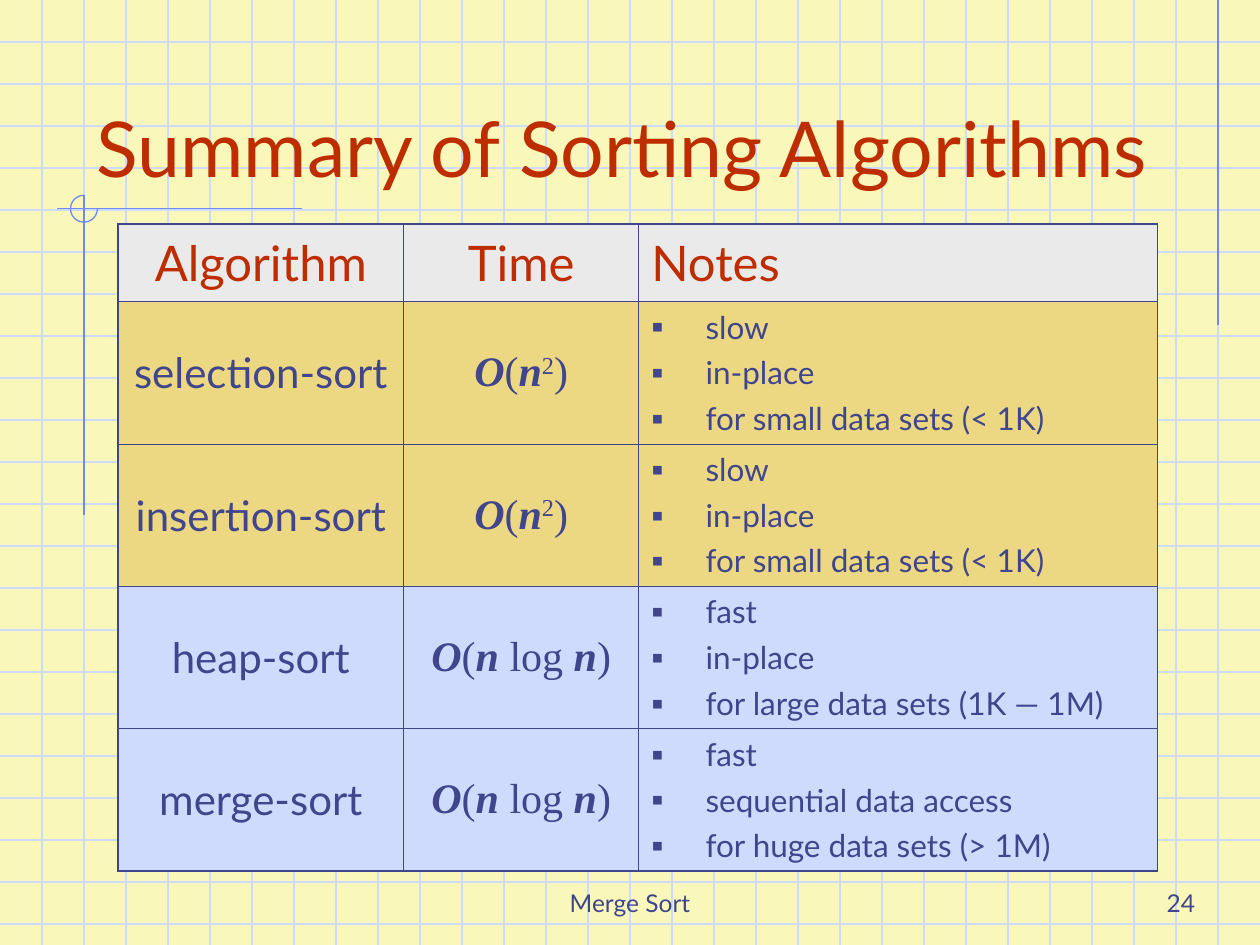
from pptx import Presentation
from pptx.dml.color import RGBColor
from pptx.enum.shapes import MSO_CONNECTOR, MSO_SHAPE
from pptx.enum.text import MSO_ANCHOR, MSO_AUTO_SIZE, PP_ALIGN
from pptx.oxml import parse_xml
from pptx.oxml.ns import nsdecls, qn
from pptx.util import Emu, Inches, Pt

STRAIGHT = MSO_CONNECTOR.STRAIGHT
ARC = MSO_SHAPE.ARC
BOTTOM, MIDDLE = MSO_ANCHOR.BOTTOM, MSO_ANCHOR.MIDDLE
LEFT, CENTER, RIGHT = PP_ALIGN.LEFT, PP_ALIGN.CENTER, PP_ALIGN.RIGHT

GRID_COLS, GRID_ROWS = 30, 22.5
GRID_CELL = Inches(10) / GRID_COLS

PAPER, GRID_BLUE, ACCENT_BLUE = "F9F8BA", "CFDBFD", "6F89F7"
INK, RED = "40458C", "BE2D00"
HEADER_GRAY, SLOW_GOLD, FAST_BLUE = "EAEAEA", "ECD882", "CFDBFD"
SANS, SERIF = "Lato", "Times New Roman"
THIN, THICK = 0.45, 1.08

COLUMN_SPANS = [6.8, 5.6, 12.35]
HEADER_SPAN, BODY_SPAN = 1.84, 3.39
HEADINGS = ["Algorithm", "Time", "Notes"]
QUADRATIC = ["O", "(", "n", "2", ")"]
LINEARITHMIC = ["O", "(", "n", " log ", "n", ")"]
SMALL_SETS = ["slow", "in-place", "for small data sets (< 1K)"]
ALGORITHMS = [
    ("selection-sort", QUADRATIC, SMALL_SETS, SLOW_GOLD),
    ("insertion-sort", QUADRATIC, SMALL_SETS, SLOW_GOLD),
    ("heap-sort", LINEARITHMIC,
     ["fast", "in-place", "for large data sets (1K — 1M)"], FAST_BLUE),
    ("merge-sort", LINEARITHMIC,
     ["fast", "sequential data access", "for huge data sets (> 1M)"], FAST_BLUE),
]


def rgb(hex_color):
    return RGBColor.from_string(hex_color)


def cells(count):
    return Emu(round(count * GRID_CELL))


def style(font, size, color, name=SANS):
    font.size, font.name = Pt(size), name
    font.color.rgb = rgb(color)


def draw_line(slide, start, end, color):
    line = slide.shapes.add_connector(STRAIGHT, *map(cells, start + end))
    line.line.color.rgb = rgb(color)
    line.line.width = Pt(0.75)
    line._element.spPr.append(parse_xml(f"<a:effectLst {nsdecls('a')}/>"))


def draw_graph_paper(slide, cols, rows):
    slide.background.fill.solid()
    slide.background.fill.fore_color.rgb = rgb(PAPER)
    for row in range(1, int(rows) + 1):
        draw_line(slide, (0, row), (cols, row), GRID_BLUE)
    for col in range(1, cols):
        draw_line(slide, (col, 0), (col, rows), GRID_BLUE)


def draw_accents(slide, corner_x, corner_y, radius):
    margin = GRID_COLS - 1
    draw_line(slide, (margin, 0), (margin, 7.75), ACCENT_BLUE)
    draw_line(slide, (corner_x + 5.2, corner_y), (corner_x - 0.65, corner_y), ACCENT_BLUE)
    draw_line(slide, (corner_x, corner_y - radius), (corner_x, corner_y + 7.3), ACCENT_BLUE)
    ring = slide.shapes.add_shape(ARC, cells(corner_x - radius), cells(corner_y - radius),
                                  cells(2 * radius), cells(2 * radius))
    ring.adjustments[0], ring.adjustments[1] = 0, 162
    ring.shadow.inherit = False
    ring.fill.background()
    ring.line.color.rgb = rgb(ACCENT_BLUE)
    ring.line.width = Pt(0.75)


def place_title(slide, text, box):
    title = slide.shapes.title
    slide.shapes._spTree.append(title._element)
    title.left, title.top, title.width, title.height = map(cells, box)
    frame = title.text_frame
    frame.text = text
    frame.auto_size = MSO_AUTO_SIZE.NONE
    frame.vertical_anchor = BOTTOM
    frame.paragraphs[0].alignment = LEFT
    style(frame.paragraphs[0].runs[0].font, 44, RED)


def place_footer(slide, text, box, alignment):
    frame = slide.shapes.add_textbox(*map(cells, box)).text_frame
    frame.text = text
    frame.word_wrap = True
    frame.vertical_anchor = BOTTOM
    frame.paragraphs[0].alignment = alignment
    style(frame.paragraphs[0].runs[0].font, 14, INK)


def set_borders(cell, widths):
    properties = cell._tc.get_or_add_tcPr()
    for position, (side, width) in enumerate(zip("LRTB", widths)):
        properties.insert(position, parse_xml(
            f'<a:ln{side} {nsdecls("a")} w="{Pt(width)}"><a:solidFill>'
            f'<a:srgbClr val="{INK}"/></a:solidFill></a:ln{side}>'))


def fill_label(cell, text, size, color, alignment):
    paragraph = cell.text_frame.paragraphs[0]
    paragraph.text = text
    paragraph.alignment = alignment
    style(paragraph.runs[0].font, size, color)


def fill_formula(cell, pieces):
    paragraph = cell.text_frame.paragraphs[0]
    paragraph.alignment = CENTER
    for piece in pieces:
        run = paragraph.add_run()
        run.text = piece
        style(run.font, 24, INK, SERIF)
        run.font.bold = run.font.italic = piece in ("O", "n")
        if piece.isdigit():
            run.font._element.set("baseline", "30000")


def fill_notes(cell, notes):
    cell.text_frame.text = "\n".join(notes)
    for index, paragraph in enumerate(cell.text_frame.paragraphs):
        properties = paragraph._p.get_or_add_pPr()
        properties.set("marL", str(Inches(0.43)))
        properties.set("indent", str(-Inches(0.43)))
        bullet = parse_xml(
            f'<a:pPr {nsdecls("a")}><a:buClr><a:srgbClr val="{INK}"/></a:buClr>'
            '<a:buSzPct val="110000"/><a:buFont typeface="Arial"/><a:buChar char="▪"/></a:pPr>')
        properties.extend(list(bullet))
        if index:
            paragraph.space_before = Pt(4.5)
        style(paragraph.runs[0].font, 18, INK)


def place_table(slide, left, top):
    row_spans = [HEADER_SPAN] + [BODY_SPAN] * len(ALGORITHMS)
    table = slide.shapes.add_table(
        len(row_spans), len(COLUMN_SPANS), cells(left), cells(top),
        cells(sum(COLUMN_SPANS)), cells(sum(row_spans))).table
    table.first_row = table.horz_banding = False
    for column, span in zip(table.columns, COLUMN_SPANS):
        column.width = cells(span)
    for row, span in zip(table.rows, row_spans):
        row.height = cells(span)

    for col, heading in enumerate(HEADINGS):
        fill_label(table.cell(0, col), heading, 28, RED, LEFT if heading == "Notes" else CENTER)
    for row, (name, time, notes, _) in enumerate(ALGORITHMS, 1):
        fill_label(table.cell(row, 0), name, 24, INK, CENTER)
        fill_formula(table.cell(row, 1), time)
        fill_notes(table.cell(row, 2), notes)

    row_fills = [HEADER_GRAY] + [algorithm[-1] for algorithm in ALGORITHMS]
    last_row, last_col = len(row_spans) - 1, len(COLUMN_SPANS) - 1
    for row, fill in enumerate(row_fills):
        for col in range(last_col + 1):
            cell = table.cell(row, col)
            cell.vertical_anchor = MIDDLE
            cell.fill.solid()
            cell.fill.fore_color.rgb = rgb(fill)
            heavy = (col == 0, col == last_col, row <= 1, row in (0, last_row))
            set_borders(cell, [THICK if edge else THIN for edge in heavy])


def main():
    deck = Presentation()
    deck.slide_width, deck.slide_height = cells(GRID_COLS), cells(GRID_ROWS)
    slide = deck.slides.add_slide(deck.slide_layouts.get_by_name("Title Only"))
    draw_graph_paper(slide, GRID_COLS, GRID_ROWS)
    draw_accents(slide, 2, 4.97, 0.32)
    place_footer(slide, "Merge Sort", (10.25, 20.5, 9.5, 1.5), CENTER)
    place_footer(slide, "24", (22.5, 20.5, 6.25, 1.5), RIGHT)
    place_title(slide, "Summary of Sorting Algorithms", (2, 1, 26.5, 3.75))
    place_table(slide, 2.81, 5.34)
    deck.save("out.pptx")


if __name__ == "__main__":
    main()
